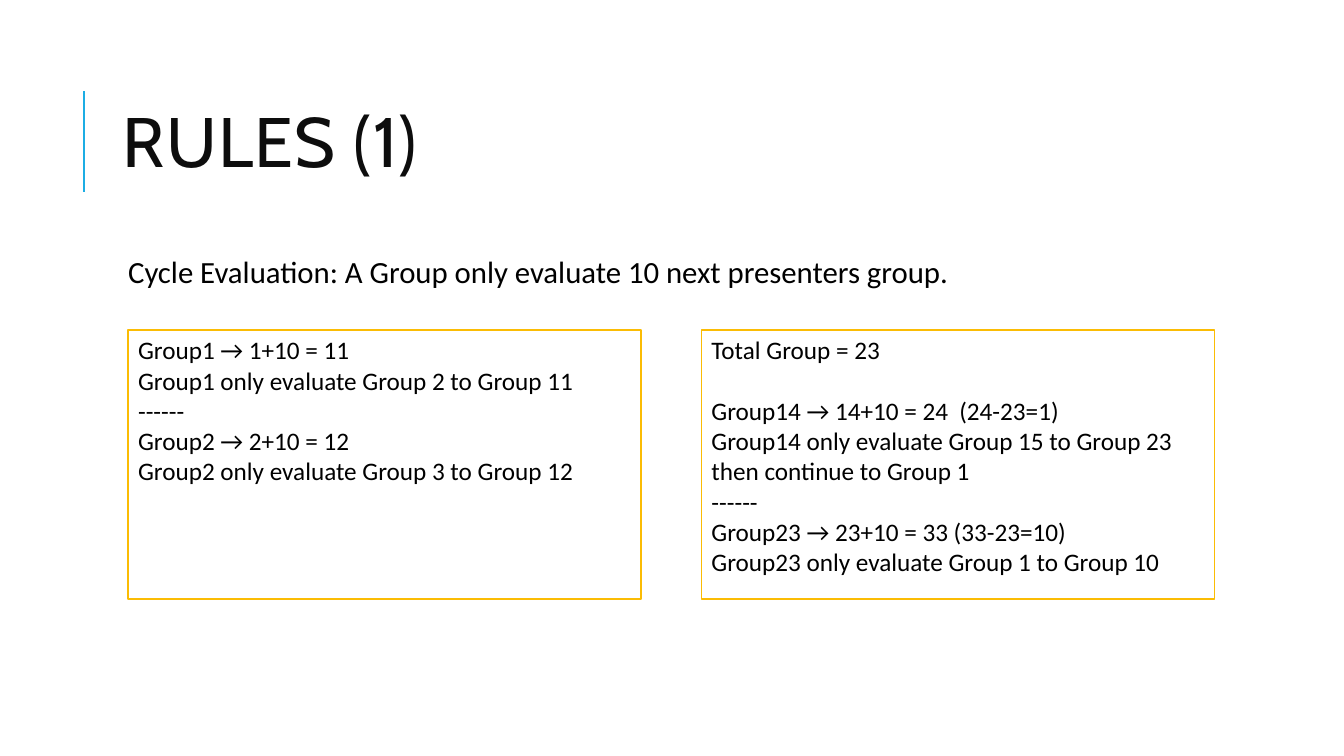
from dataclasses import dataclass

from pptx import Presentation
from pptx.dml.color import RGBColor
from pptx.enum.shapes import MSO_CONNECTOR as Connector, MSO_SHAPE as Shape
from pptx.enum.text import MSO_ANCHOR as Anchor, PP_ALIGN as Align
from pptx.oxml.ns import qn
from pptx.util import Cm, Pt
from lxml.etree import SubElement

TITLE = "RULES (1)"
SUMMARY = "Cycle Evaluation: A Group only evaluate 10 next presenters group."
# Each example: paragraphs as (text, space before in points)
EXAMPLES = [
    [
        ("Group1 → 1+10 = 11", 0),
        ("Group1 only evaluate Group 2 to Group 11", 0),
        ("------", 0),
        ("Group2 → 2+10 = 12", 0),
        ("Group2 only evaluate Group 3 to Group 12", 0),
    ],
    [
        ("Total Group = 23", 0),
        ("Group14 → 14+10 = 24  (24-23=1)", 21.6),
        ("Group14 only evaluate Group 15 to Group 23 then continue to Group 1", 0),
        ("------", 0),
        ("Group23 → 23+10 = 33 (33-23=10)", 0),
        ("Group23 only evaluate Group 1 to Group 10", 0),
    ],
]


@dataclass(frozen=True)
class Theme:
    heading_font: str = "Cabin"
    body_font: str = "Calibri"
    title_size: float = 50
    summary_size: float = 22
    example_size: float = 18
    paper: RGBColor = RGBColor(0xFF, 0xFF, 0xFF)
    title_ink: RGBColor = RGBColor(0x0D, 0x0D, 0x0D)
    ink: RGBColor = RGBColor(0, 0, 0)
    accent: RGBColor = RGBColor(0x1C, 0xAD, 0xE4)
    border: RGBColor = RGBColor(0xFB, 0xBC, 0x04)


THEME = Theme()
CONTENT_LEFT, EXAMPLE_TOP = 3.23, 8.31
EXAMPLE_WIDTH, EXAMPLE_HEIGHT, EXAMPLE_GAP = 12.93, 6.78, 1.52
TEXT_LEFT, TEXT_WIDTH = 2.84, 27


def add_run(paragraph, text, font_name, size, color):
    run = paragraph.add_run()
    run.text = text
    run.font.name, run.font.size = font_name, Pt(size)
    run.font.color.rgb = color
    return run


def add_text_frame(slide, left, top, width, height):
    frame = slide.shapes.add_textbox(Cm(left), Cm(top), Cm(width), Cm(height)).text_frame
    frame.word_wrap = True
    return frame


def add_title(slide):
    rule = slide.shapes.add_connector(
        Connector.STRAIGHT, Cm(2.11), Cm(4.83), Cm(2.11), Cm(2.29))
    rule.line.color.rgb, rule.line.width = THEME.accent, Pt(1.5)
    SubElement(rule._element.spPr, qn("a:effectLst"))

    frame = add_text_frame(slide, TEXT_LEFT, 1.63, TEXT_WIDTH, 4.17)
    frame.vertical_anchor = Anchor.MIDDLE
    heading = frame.paragraphs[0]
    heading.line_spacing = 0.8
    run = add_run(heading, TITLE, THEME.heading_font, THEME.title_size, THEME.title_ink)
    run.font._element.set("spc", "100")


def add_summary(slide):
    frame = add_text_frame(slide, TEXT_LEFT, 6.35, TEXT_WIDTH, 1.5)
    frame.margin_left = Cm(CONTENT_LEFT - TEXT_LEFT)
    frame.margin_top = frame.margin_right = frame.margin_bottom = Cm(0.13)
    sentence = frame.paragraphs[0]
    sentence.line_spacing = 0.9
    add_run(sentence, SUMMARY, THEME.body_font, THEME.summary_size, THEME.ink)


def add_example(slide, column, lines):
    left = CONTENT_LEFT + column * (EXAMPLE_WIDTH + EXAMPLE_GAP)
    panel = slide.shapes.add_shape(
        Shape.RECTANGLE, Cm(left), Cm(EXAMPLE_TOP), Cm(EXAMPLE_WIDTH), Cm(EXAMPLE_HEIGHT))
    panel.shadow.inherit = False
    panel.fill.solid()
    panel.fill.fore_color.rgb = THEME.paper
    panel.line.color.rgb, panel.line.width = THEME.border, Pt(1.25)

    frame = panel.text_frame
    frame.word_wrap, frame.vertical_anchor = True, Anchor.TOP
    for index, (text, space_before) in enumerate(lines):
        paragraph = frame.add_paragraph() if index else frame.paragraphs[0]
        paragraph.alignment = Align.LEFT
        if space_before:
            paragraph.space_before = Pt(space_before)
        add_run(paragraph, text, THEME.body_font, THEME.example_size, THEME.ink)


def main():
    deck = Presentation()
    deck.slide_width, deck.slide_height = Cm(33.87), Cm(19.05)
    slide = deck.slides.add_slide(deck.slide_layouts[6])
    add_title(slide)
    add_summary(slide)
    for column, lines in enumerate(EXAMPLES):
        add_example(slide, column, lines)
    deck.save("out.pptx")


if __name__ == "__main__":
    main()
